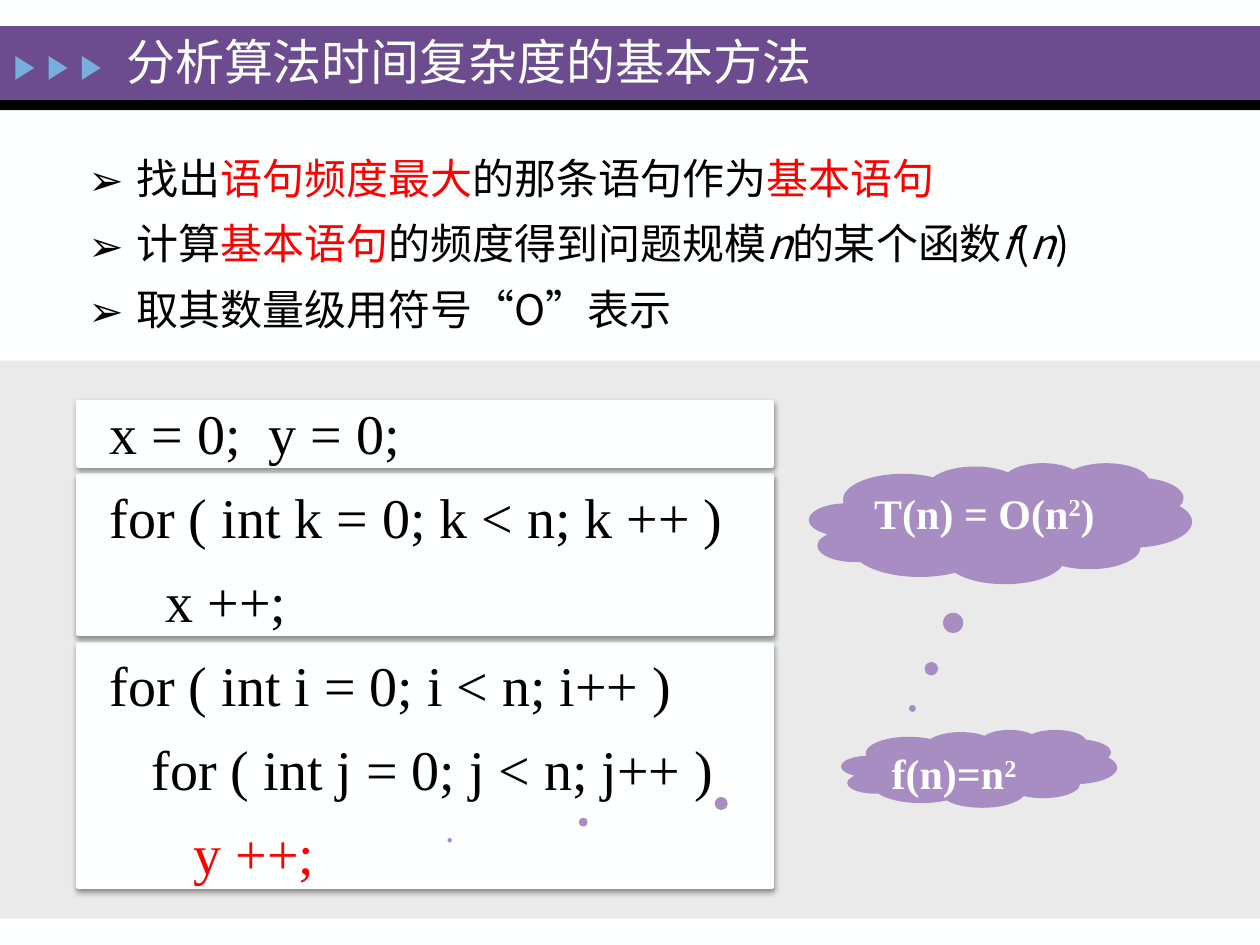
from lxml import etree
from pptx import Presentation
from pptx.dml.color import RGBColor
from pptx.enum.shapes import MSO_SHAPE
from pptx.enum.text import MSO_ANCHOR, MSO_AUTO_SIZE, PP_ALIGN
from pptx.oxml.ns import qn
from pptx.util import Cm, Pt

WHITE, BLACK, RED = "FEFFFF", "000000", "FF0000"
PURPLE, LILAC, SKY, GREY = "6C4C8F", "A78DC2", "76AEDD", "EAEAEA"
SERIF, SANS = "Times New Roman", "Noto Sans CJK SC"


def rgb(value):
    return RGBColor.from_string(value)


def add_shape(slide, kind, box, fill, line=None, width=3):
    shape = slide.shapes.add_shape(kind, *map(Cm, box))
    shape.shadow.inherit = False
    shape.fill.solid()
    shape.fill.fore_color.rgb = rgb(fill)
    if line:
        shape.line.color.rgb = rgb(line)
        shape.line.width = Pt(width)
    else:
        shape.line.fill.background()
    return shape


def add_soft_shadow(shape):
    effects = shape._element.spPr.find(qn("a:effectLst"))
    shadow = etree.SubElement(effects, qn("a:outerShdw"), blurRad=str(Pt(3.1)),
                              dist=str(Pt(1.6)), dir="5400000", rotWithShape="0")
    color = etree.SubElement(shadow, qn("a:srgbClr"), val=BLACK)
    etree.SubElement(color, qn("a:alpha"), val="38000")


def place(slide, placeholder, box):
    """Move a placeholder to its box and in front of what is already drawn."""
    placeholder.left, placeholder.top, placeholder.width, placeholder.height = map(Cm, box)
    slide.shapes._spTree.append(placeholder._element)
    return placeholder.text_frame


def add_text(paragraph, text, size=24, font=SERIF, color=BLACK,
             bold=False, italic=False, raised=False):
    run = paragraph.add_run()
    run.text = text
    run.font.size, run.font.name = Pt(size), font
    run.font.bold, run.font.italic = bold, italic
    run.font.color.rgb = rgb(color)
    properties = run.font._element
    if raised:
        properties.set("baseline", "30000")
    east_asian = etree.Element(qn("a:ea"), typeface=SANS)
    properties.find(qn("a:latin")).addnext(east_asian)


def next_paragraph(frame, index):
    return frame.add_paragraph() if index else frame.paragraphs[0]


def set_bullet(paragraph, char, indent):
    properties = paragraph._p.get_or_add_pPr()
    properties.set("marL", str(Cm(indent)))
    properties.set("indent", str(-Cm(indent)))
    etree.SubElement(properties, qn("a:buFont"), typeface=SANS)
    etree.SubElement(properties, qn("a:buChar"), char=char)


def draw_header(slide, box, heading):
    left, top, width, height = box
    # Band with a black rule below
    add_shape(slide, MSO_SHAPE.RECTANGLE, box, PURPLE)
    add_shape(slide, MSO_SHAPE.RECTANGLE, (left, top + height, width, 0.2), BLACK)
    # Three arrowheads pointing right
    for step in range(3):
        arrow = add_shape(slide, MSO_SHAPE.ISOSCELES_TRIANGLE,
                          (left + 0.26 + 0.67 * step, top + 0.65, 0.48, 0.38), SKY)
        arrow.rotation = 90
    # Heading
    frame = place(slide, slide.shapes.title, (left + 2.29, top, 16.66, 1.4))
    frame.auto_size = MSO_AUTO_SIZE.NONE
    frame.vertical_anchor = MSO_ANCHOR.MIDDLE
    frame.paragraphs[0].alignment = PP_ALIGN.LEFT
    add_text(frame.paragraphs[0], heading, size=28, color=WHITE)


def draw_steps(slide, box, steps):
    frame = place(slide, slide.placeholders[1], box)
    frame.auto_size = MSO_AUTO_SIZE.NONE
    frame.margin_left = frame.margin_right = Cm(0.3)
    frame.margin_top = frame.margin_bottom = Cm(0.15)
    for index, step in enumerate(steps):
        paragraph = next_paragraph(frame, index)
        paragraph.line_spacing = 1.3
        paragraph.space_before = Pt(0)
        set_bullet(paragraph, "➢", 0.97)
        for text, style in step:
            add_text(paragraph, text, font=SANS, **style)


def draw_code(slide, box, lines):
    left, top, width, height = box
    add_shape(slide, MSO_SHAPE.RECTANGLE, box, GREY)
    # One card behind each block of code
    for offset, card_height in ((5.72, 4.88), (2.32, 3.18), (0.84, 1.27)):
        card = add_shape(slide, MSO_SHAPE.RECTANGLE,
                         (left + 1.58, top + offset, 13.97, card_height), WHITE, WHITE)
        add_soft_shadow(card)
    # Code over the cards
    code = slide.shapes.add_textbox(*map(Cm, (left + 1.96, top + 0.3, 12.98, 10.52)))
    code.text_frame.word_wrap = False
    for index, (line, color) in enumerate(lines):
        paragraph = next_paragraph(code.text_frame, index)
        paragraph.line_spacing = 1.25
        add_text(paragraph, line, size=32, color=color)


def draw_cloud(slide, box, tail, parts):
    cloud = add_shape(slide, MSO_SHAPE.CLOUD_CALLOUT, box, LILAC)
    cloud.adjustments[0], cloud.adjustments[1] = tail
    frame = cloud.text_frame
    frame.word_wrap = True
    frame.vertical_anchor = MSO_ANCHOR.TOP
    frame.paragraphs[0].alignment = PP_ALIGN.LEFT
    for text, raised in parts:
        add_text(frame.paragraphs[0], text, color=WHITE, bold=True, raised=raised)


def main():
    deck = Presentation()
    deck.slide_width, deck.slide_height = Cm(25.4), Cm(19.05)
    slide = deck.slides.add_slide(deck.slide_layouts[1])
    slide.background.fill.solid()
    slide.background.fill.fore_color.rgb = rgb(WHITE)

    plain, key, variable = {}, {"color": RED}, {"italic": True}
    steps = [
        [("找出", plain), ("语句频度最大", key), ("的那条语句作为", plain), ("基本语句", key)],
        [("计算", plain), ("基本语句", key), ("的频度得到问题规模", plain), ("n", variable),
         ("的某个函数", plain), ("f", variable), ("(", plain), ("n", variable), (")", plain)],
        [("取其数量级用符号“O”表示", plain)],
    ]
    code_lines = [
        ("x = 0;  y = 0;", BLACK),
        ("for ( int k = 0; k < n; k ++ )", BLACK),
        ("    x ++;", BLACK),
        ("for ( int i = 0; i < n; i++ )", BLACK),
        ("   for ( int j = 0; j < n; j++ )", BLACK),
        ("      y ++;", RED),
    ]

    draw_header(slide, (0, 0.53, 25.4, 1.49), "分析算法时间复杂度的基本方法")
    draw_code(slide, (0, 7.27, 25.4, 11.25), code_lines)
    draw_steps(slide, (1.48, 2.62, 23.92, 4.32), steps)
    draw_cloud(slide, (16.96, 14.71, 5.56, 1.57), (-1.92, 0.92),
               [("f(n)=n", False), ("2", True)])
    draw_cloud(slide, (16.31, 9.33, 7.72, 2.44), (-0.23, 1.53),
               [("T(n) = O(n", False), ("2", True), (")", False)])
    deck.save("out.pptx")


if __name__ == "__main__":
    main()
